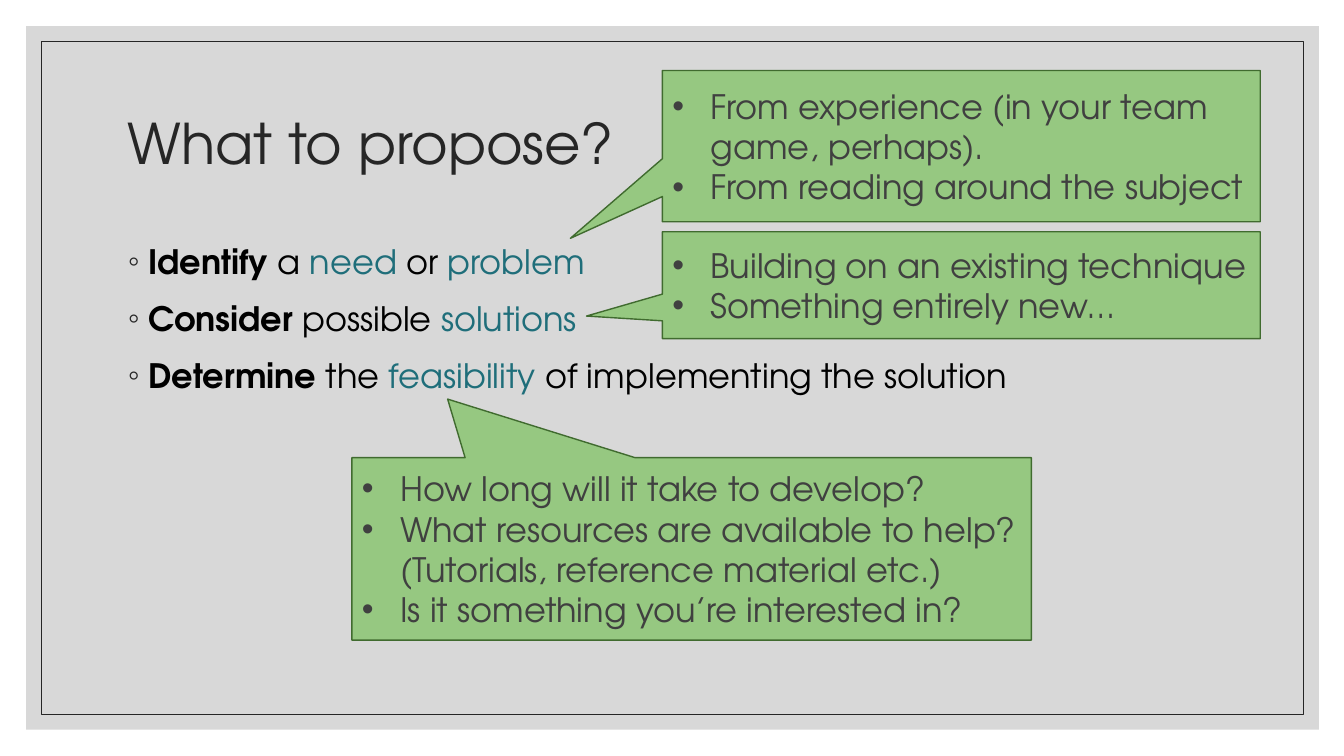
from dataclasses import dataclass

from lxml.etree import SubElement
from pptx import Presentation
from pptx.dml.color import RGBColor as RGB
from pptx.enum.shapes import MSO_SHAPE as SHAPE
from pptx.enum.text import MSO_ANCHOR as ANCHOR, PP_ALIGN as ALIGN
from pptx.oxml.ns import qn
from pptx.util import Inches, Pt

COLORS = {
    "panel": "BFBFBF", "dark": "262626", "body": "000000", "key": "1F6E7A",
    "callout": "96C881", "edge": "406B2F", "note": "404040",
}
FONT = "TeX Gyre Adventor"
Box = tuple[float, float, float, float]


@dataclass
class Bullet:
    char: str
    indent: float
    color: str


@dataclass
class Callout:
    box: Box
    tip: tuple[float, float]
    lines: list[str]


RING = Bullet("◦", 0.2, "dark")
DOT = Bullet("•", 0.38, "note")
BODY_FORMAT = {"line_spacing": 1.1, "space_before": Pt(9)}
NOTE_FORMAT = {"alignment": ALIGN.LEFT}
TITLE_FORMAT = {"line_spacing": 0.9}

STEPS = [
    [("Identify", "bold"), (" a ", "body"), ("need", "key"), (" or ", "body"), ("problem", "key")],
    [("Consider", "bold"), (" possible ", "body"), ("solutions", "key")],
    [("Determine", "bold"), (" the ", "body"), ("feasibility", "key"),
     (" of implementing the solution", "body")],
]
CALLOUTS = [
    Callout((6.57, 0.7, 5.93, 1.5), (-0.654, 0.61),
            ["From experience (in your team game, perhaps).", "From reading around the subject"]),
    Callout((6.57, 2.3, 5.93, 1.06), (-0.627, 0.289),
            ["Building on an existing technique", "Something entirely new…"]),
    Callout((3.49, 4.54, 6.74, 1.81), (-0.359, -0.821),
            ["How long will it take to develop?",
             "What resources are available to help? (Tutorials, reference material etc.)",
             "Is it something you’re interested in?"]),
]


def rgb(name: str) -> RGB:
    return RGB.from_string(COLORS[name])


def add_box(slide, kind, box: Box, fill: str | None = None, line: str | None = None,
            width: float = 1):
    sp = slide.shapes.add_shape(kind, *map(Inches, box))
    sp.shadow.inherit = False
    if fill:
        sp.fill.solid()
        sp.fill.fore_color.rgb = rgb(fill)
    else:
        sp.fill.background()
    if line:
        sp.line.color.rgb = rgb(line)
        sp.line.width = Pt(width)
    else:
        sp.line.fill.background()
    return sp


def set_alpha(sp, percent: int) -> None:
    color = sp._element.spPr.find(qn("a:solidFill"))[0]
    SubElement(color, qn("a:alpha"), val=str(percent * 1000))


def set_bullet(p, bullet: Bullet) -> None:
    pPr = p._p.get_or_add_pPr()
    pPr.set("marL", str(Inches(bullet.indent)))
    pPr.set("indent", str(-Inches(bullet.indent)))
    clr = SubElement(pPr, qn("a:buClr"))
    SubElement(clr, qn("a:srgbClr"), val=COLORS[bullet.color])
    SubElement(pPr, qn("a:buFont"), typeface="Arial")
    SubElement(pPr, qn("a:buChar"), char=bullet.char)


def write(tf, paragraphs: list, size: float, formats: dict, anchor,
          bullet: Bullet | None = None) -> None:
    tf.word_wrap = True
    tf.vertical_anchor = anchor
    for i, runs in enumerate(paragraphs):
        p = tf.add_paragraph() if i else tf.paragraphs[0]
        for name, value in formats.items():
            setattr(p, name, value)
        if bullet:
            set_bullet(p, bullet)
        for text, style in runs:
            r = p.add_run()
            r.text = text
            bold = style == "bold"
            for name, value in {"name": FONT, "size": Pt(size), "bold": bold}.items():
                setattr(r.font, name, value)
            r.font.color.rgb = rgb("body" if bold else style)


def add_text(slide, box: Box, *args) -> None:
    write(slide.shapes.add_textbox(*map(Inches, box)).text_frame, *args)


def add_callout(slide, callout: Callout) -> None:
    sp = add_box(slide, SHAPE.RECTANGULAR_CALLOUT, callout.box, "callout", "edge")
    for i, value in enumerate(callout.tip):
        sp.adjustments[i] = value
    lines = [[(text, "note")] for text in callout.lines]
    write(sp.text_frame, lines, 24, NOTE_FORMAT, ANCHOR.MIDDLE, DOT)


def main() -> None:
    """Build the slide on what to propose and save it."""
    prs = Presentation()
    prs.slide_width, prs.slide_height = Inches(13.33), Inches(7.5)
    slide = prs.slides.add_slide(prs.slide_layouts[6])
    panel = add_box(slide, SHAPE.RECTANGLE, (0.26, 0.26, 12.82, 6.98), "panel")
    set_alpha(panel, 60)
    add_box(slide, SHAPE.RECTANGLE, (0.41, 0.41, 12.52, 6.68), line="dark", width=0.5)
    add_text(slide, (1.17, 0.7, 11, 1.5), [[("What to propose?", "dark")]], 40,
             TITLE_FORMAT, ANCHOR.MIDDLE)
    add_text(slide, (1.17, 2.3, 11, 4.21), STEPS, 24, BODY_FORMAT, ANCHOR.TOP, RING)
    for callout in CALLOUTS:
        add_callout(slide, callout)
    prs.save("out.pptx")


if __name__ == "__main__":
    main()
